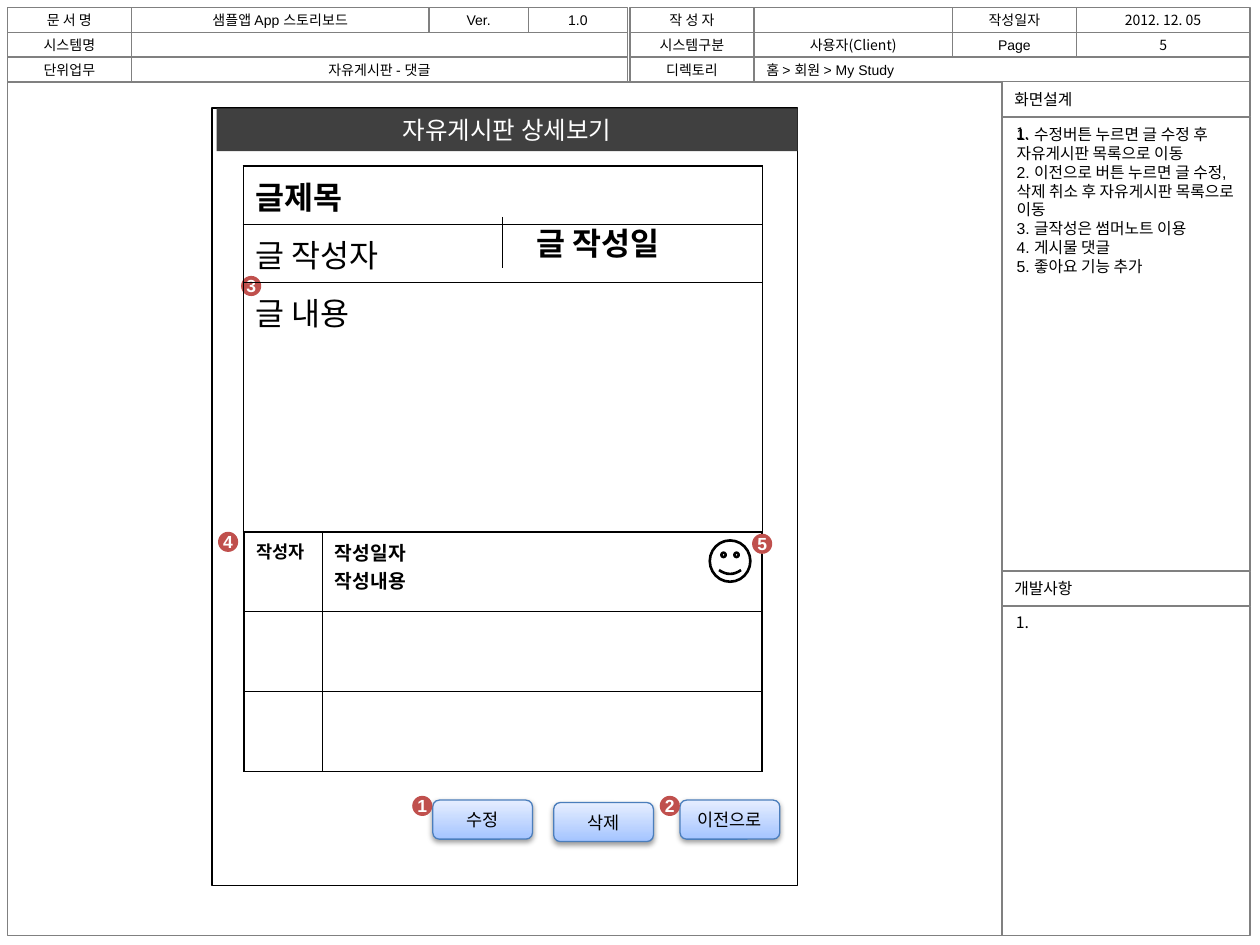
import pptx
import pptx.dml.color
import pptx.enum.shapes
import pptx.enum.text
import pptx.oxml
import pptx.oxml.ns
import pptx.util
import lxml.etree

Pt = pptx.util.Pt
KIND = pptx.enum.shapes.MSO_SHAPE
ALIGN = pptx.enum.text.PP_ALIGN
ANCHOR = pptx.enum.text.MSO_ANCHOR
NOTO = "Noto Sans CJK KR"
QN = pptx.oxml.ns.qn


def color(code):
    return pptx.dml.color.RGBColor.from_string(code)


def node(up, tag, **vals):
    return lxml.etree.SubElement(up, QN("a:" + tag), vals)


class Page:
    gray, black, white, red = "808080", "000000", "FFFFFF", "C0504D"

    def __init__(self, slide):
        self.slide = slide
        self.shapes = slide.shapes

    def text(self, frame, lines, size=9, face="Arial", ink=black, bold=None,
             align=ALIGN.LEFT, space=None, **form):
        for key, val in {"word_wrap": True, **form}.items():
            setattr(frame, key, val)
        for num, line in enumerate(lines):
            para = frame.paragraphs[0] if num == 0 else frame.add_paragraph()
            para.alignment = align
            if space:
                para.line_spacing = Pt(space)
            run = para.add_run()
            run.text = line
            font = {"size": Pt(size), "name": face, "bold": bold}
            for key, val in font.items():
                setattr(run.font, key, val)
            run.font.color.rgb = color(ink)
            node(run.font._element, "ea", typeface=NOTO)

    def paint(self, shape, fill=None, line=None, width=0.75):
        if fill:
            shape.fill.solid()
            shape.fill.fore_color.rgb = color(fill)
        else:
            shape.fill.background()
        if line:
            shape.line.color.rgb = color(line)
            shape.line.width = Pt(width)
        else:
            shape.line.fill.background()

    def shape(self, kind, box, **look):
        item = self.shapes.add_shape(kind, *map(Pt, box))
        item.shadow.inherit = False
        self.paint(item, **look)
        return item

    def cell(self, box, label="", align=ALIGN.CENTER, size=8, face="Arial"):
        item = self.shape(KIND.RECTANGLE, box, line=self.gray)
        if label:
            self.text(item.text_frame, [label], size, face, align=align,
                      vertical_anchor=ANCHOR.MIDDLE,
                      margin_top=0, margin_bottom=0)

    def note(self, box, lines, **form):
        item = self.shapes.add_textbox(*map(Pt, box))
        self.text(item.text_frame, lines, **form)

    def title(self, box, label, under):
        item = self.shapes.title
        place = dict(zip(("left", "top", "width", "height"), map(Pt, box)))
        for key, val in place.items():
            setattr(item, key, val)
        self.paint(item, fill="404040")
        self.text(item.text_frame, [label], 14, ink=self.white,
                  align=ALIGN.CENTER, vertical_anchor=ANCHOR.MIDDLE,
                  auto_size=pptx.enum.text.MSO_AUTO_SIZE.NONE)
        under.element.addnext(item.element)

    def badge(self, num, left, top):
        item = self.shape(KIND.OVAL, (left, top, 11.5, 11.5), fill=self.red)
        self.text(item.text_frame, [num], 10, ink=self.white, bold=True,
                  align=ALIGN.CENTER, word_wrap=False,
                  vertical_anchor=ANCHOR.MIDDLE, margin_left=0,
                  margin_right=0, margin_top=0, margin_bottom=0)

    def button(self, label, left, top):
        item = self.shape(KIND.ROUNDED_RECTANGLE, (left, top, 57, 22.3),
                          line="4B7EBC")
        item.fill.gradient()
        item.fill.gradient_angle = 90
        for stop, code in zip(item.fill.gradient_stops, ("A4C4FF", "E6EEFF")):
            stop.color.rgb = color(code)
        glow = node(item.element.spPr.find(QN("a:effectLst")), "outerShdw",
                    blurRad=str(Pt(3.1)), dist=str(Pt(1.6)), dir="5400000",
                    rotWithShape="0")
        node(node(glow, "srgbClr", val=self.black), "alpha", val="38000")
        self.text(item.text_frame, [label], 10, NOTO, align=ALIGN.CENTER,
                  vertical_anchor=ANCHOR.MIDDLE, margin_left=0, margin_right=0)

    def table(self, left, top, cols, rows, texts):
        grid = self.shapes.add_table(
            len(rows), len(cols), Pt(left), Pt(top),
            Pt(sum(cols)), Pt(sum(rows))).table
        grid.first_row = grid.horz_banding = False
        for col, width in zip(grid.columns, cols):
            col.width = Pt(width)
        for row, height in zip(grid.rows, rows):
            row.height = Pt(height)
        for cell in grid.iter_cells():
            props = cell._tc.get_or_add_tcPr()
            for side in ("lnL", "lnR", "lnT", "lnB"):
                edge = node(props, side, w=str(Pt(1)))
                node(node(edge, "solidFill"), "srgbClr", val=self.black)
            cell.fill.background()
        for (row, col), (lines, size, bold) in texts.items():
            self.text(grid.cell(row, col).text_frame, lines, size, NOTO,
                      bold=bold)

    def line(self, start, end):
        item = self.shapes.add_connector(
            pptx.enum.shapes.MSO_CONNECTOR.STRAIGHT, *map(Pt, start + end))
        item.line.color.rgb = color(self.black)
        item.line.width = Pt(0.75)
        node(item.element.spPr, "effectLst")


deck = pptx.Presentation()
deck.slide_width, deck.slide_height = Pt(720), Pt(540)
page = Page(deck.slides.add_slide(deck.slide_layouts[5]))

# Header: each row lists left edge, right edge, label and font
A, B, C, D, E = 4.25, 75.1, 245.2, 301.9, 358.6
F, G, H, I, J = 360, 430.9, 544.3, 615.1, 714.3
header = [
    [(A, B, "문 서 명"), (B, C, "샘플앱 App 스토리보드"), (C, D, "Ver."),
     (D, E, "1.0"), (F, G, "작 성 자"), (G, H, ""), (H, I, "작성일자"),
     (I, J, "2012. 12. 05", NOTO)],
    [(A, B, "시스템명"), (B, E, ""), (F, G, "시스템구분"),
     (G, H, "사용자(Client)", NOTO), (H, I, "Page"), (I, J, "5", NOTO)],
    [(A, B, "단위업무"), (B, E, "자유게시판 - 댓글"), (F, G, "디렉토리")],
]
STEP = 14.17
for num, row in enumerate(header):
    for left, right, label, *face in row:
        page.cell((left, 4.3 + num * STEP, right - left, STEP), label,
                  face=face[0] if face else "Arial")
page.cell((G, 4.3 + 2 * STEP, J - G, STEP), "홈 > 회원 > My Study",
          align=ALIGN.LEFT)

# Body and side panels
SIDE, TOP, END = 572.6, 46.8, 534.6
page.cell((A, TOP, SIDE - A, END - TOP))
for label, top, end in (("화면설계", TOP, 326.4), ("개발사항", 326.4, END)):
    page.cell((SIDE, top, J - SIDE, 20), label, ALIGN.LEFT, 9)
    page.cell((SIDE, top + 20, J - SIDE, end - top - 20))
    page.note((SIDE + 0.8, top + 20.4, 146, 18), ["1."], face=NOTO)
page.note((SIDE + 1.2, 67.7, 146, 94.3), [
    "1. 수정버튼 누르면 글 수정 후 자유게시판 목록으로 이동",
    "2. 이전으로 버튼 누르면 글 수정, 삭제 취소 후 자유게시판 목록으로 이동",
    "3. 글작성은 썸머노트 이용",
    "4. 게시물 댓글",
    "5. 좋아요 기능 추가"], space=10.8)

# App screen
screen = page.shape(KIND.RECTANGLE, (121, 61.9, 334.8, 444.2),
                    fill=page.white, line=page.black, width=1)
page.title((123.8, 61.9, 332, 24.5), "자유게시판 상세보기", screen)

# Buttons
for label, left, top in (("수정", 247.3, 457.2), ("삭제", 316.4, 458.6),
                         ("이전으로", 388.6, 457.2)):
    page.button(label, left, top)
for num, left, top in (("1", 235.6, 454.8), ("2", 377, 454.8),
                       ("3", 137.8, 157.7)):
    page.badge(num, left, top)

# Post
page.table(139, 95, [296.6], [28.8, 28.8, 142.6], {
    (0, 0): (["글제목"], 18, True),
    (1, 0): (["글 작성자"], 18, None),
    (2, 0): (["글 내용"], 18, None)})
page.line((287, 124), (287, 153))
page.note((299.5, 124.2, 108, 28.8), ["글 작성일"], size=18, face=NOTO,
          bold=True)

# Comments
page.table(139.5, 304, [44.7, 251.4], [45.4, 45.8, 45.8], {
    (0, 0): (["작성자"], 10, True),
    (0, 1): (["작성일자", "작성내용"], 11, True)})
page.shape(KIND.SMILEY_FACE, (405.6, 308.8, 23.2, 23.6), line=page.black,
           width=1.5)
page.badge("5", 429.8, 305)
page.badge("4", 124.6, 303.9)

deck.save("out.pptx")
